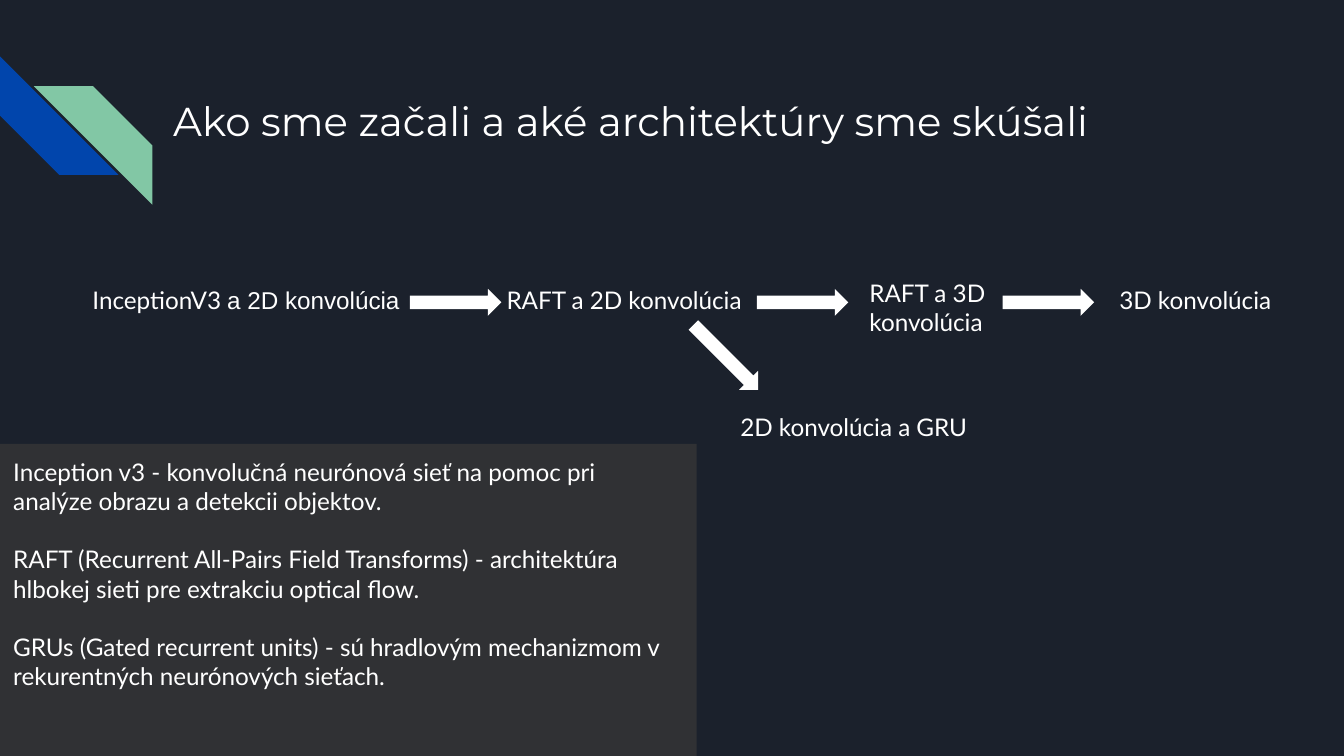
from pptx import Presentation
from pptx.dml.color import RGBColor
from pptx.enum.shapes import MSO_SHAPE as Shape
from pptx.oxml.ns import qn
from pptx.util import Pt

WHITE = "FFFFFF"
ARROW_TOP = 154.8
LABEL_TOP = 145.5


def color(hex_string):
    """Turn a hex string into a colour."""
    return RGBColor.from_string(hex_string)


def add_block(slide, kind, box, fill, rotation=0, flip=False):
    """Add a filled preset shape without outline or shadow."""
    sp = slide.shapes.add_shape(kind, *map(Pt, box))
    sp.shadow.inherit = False
    sp.fill.solid()
    sp.fill.fore_color.rgb = color(fill)
    sp.line.fill.background()
    sp.rotation = rotation
    if flip:
        sp._element.spPr.find(qn("a:xfrm")).set("flipH", "1")
    return sp


def add_arrow(slide, left, top=ARROW_TOP, rotation=0):
    """Add a white block arrow."""
    add_block(slide, Shape.RIGHT_ARROW, (left, top, 49, 14.4), WHITE, rotation)


def add_text(slide, box, paragraphs, size=13, font="Lato", gap=0):
    """Add a text box; each paragraph is a list of runs, a run is text or (text, font)."""
    tf = slide.shapes.add_textbox(*map(Pt, box)).text_frame
    tf.word_wrap = True
    tf.margin_left = tf.margin_right = tf.margin_top = tf.margin_bottom = Pt(7.2)
    for i, runs in enumerate(paragraphs):
        p = tf.add_paragraph() if i else tf.paragraphs[0]
        if i and gap:
            p.space_before = Pt(gap)
        for run in runs:
            text, name = (run, font) if isinstance(run, str) else run
            r = p.add_run()
            r.text = text
            r.font.size = Pt(size)
            r.font.name = name
            r.font.color.rgb = color(WHITE)


def add_header(slide):
    """Add the two diagonal stripes and the title."""
    add_block(slide, Shape.DIAGONAL_STRIPE, (0, 30.2, 63.5, 63.5), "0145AC", rotation=270)
    add_block(slide, Shape.DIAGONAL_STRIPE, (18.2, 46.2, 63.5, 63.5), "82C7A5", flip=True)
    add_text(slide, (85.7, 44.6, 554.4, 72),
             [["Ako sme začali a aké architektúry sme skúšali"]], 21.6, "Montserrat")


def add_flow(slide):
    """Add the chain of architectures with its arrows."""
    labels = [
        ((42.5, LABEL_TOP, 213.8, 30), ["InceptionV3 ", ("a 2D konvolúcia ", "Arial")]),
        ((264.3, LABEL_TOP, 154.8, 30), ["RAFT a 2D konvolúcia"]),
        ((458.7, 141.8, 138.2, 46), ["RAFT a 3D konvolúcia"]),
        ((592.6, LABEL_TOP, 96.5, 28), ["3D konvolúcia"]),
        ((389.5, 213.9, 147.6, 34), ["2D konvolúcia a GRU"]),
    ]
    for box, runs in labels:
        add_text(slide, box, [runs])
    for left in (219.6, 405.4, 537.1):
        add_arrow(slide, left)
    add_arrow(slide, 364.3, 184.3, rotation=45)


def add_glossary(slide):
    """Add the panel that explains the terms."""
    terms = [
        "Inception v3 - konvolučná neurónová sieť na pomoc pri analýze obrazu a detekcii objektov.",
        "RAFT (Recurrent All-Pairs Field Transforms) - architektúra hlbokej sieti pre extrakciu optical flow.",
        "GRUs (Gated recurrent units) - sú hradlovým mechanizmom v rekurentných neurónových sieťach.",
    ]
    add_block(slide, Shape.RECTANGLE, (0, 237.8, 373.2, 167.2), "303134")
    add_text(slide, (0, 237.8, 368.6, 150.5), [[term] for term in terms], gap=15.5)


def main():
    """Build the slide and save it."""
    prs = Presentation()
    prs.slide_width, prs.slide_height = Pt(720), Pt(405)
    slide = prs.slides.add_slide(prs.slide_layouts[6])
    slide.background.fill.solid()
    slide.background.fill.fore_color.rgb = color("1B212C")
    add_header(slide)
    add_flow(slide)
    add_glossary(slide)
    prs.save("out.pptx")


if __name__ == "__main__":
    main()
